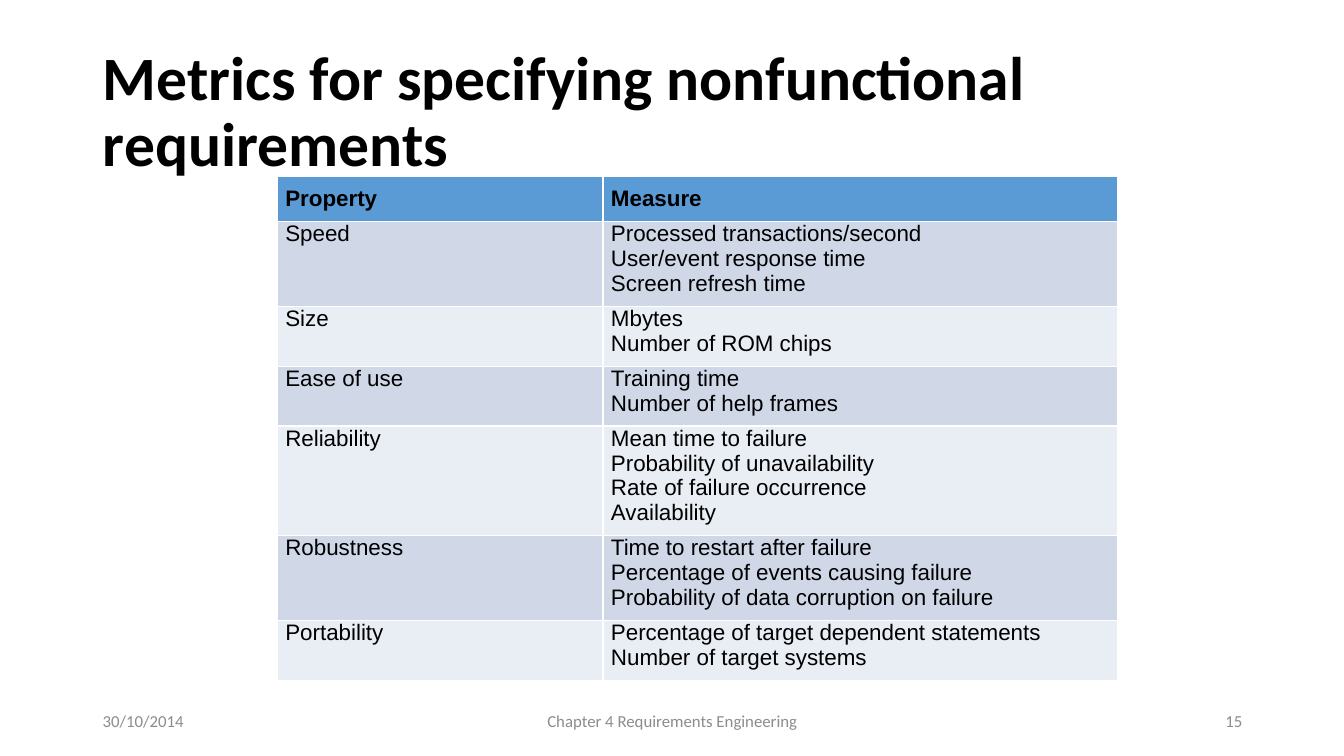
"""Build a slide with a table of metrics for nonfunctional requirements."""
from pptx import Presentation
from pptx import util as u
from pptx.dml.color import RGBColor
from pptx.enum import text

BLACK = RGBColor(0x00, 0x00, 0x00)
GREY = RGBColor(0x8C, 0x8C, 0x8C)
HEADER = RGBColor(0x5B, 0x9B, 0xD5)
BANDS = (RGBColor(0xE9, 0xED, 0xF4), RGBColor(0xD0, 0xD8, 0xE8))
ALIGN = text.PP_ALIGN
ANCHOR = text.MSO_ANCHOR

METRICS = [
    ("Property", ["Measure"]),
    ("Speed", ["Processed transactions/second", "User/event response time",
               "Screen refresh time"]),
    ("Size", ["Mbytes", "Number of ROM chips"]),
    ("Ease of use", ["Training time", "Number of help frames"]),
    ("Reliability", ["Mean time to failure", "Probability of unavailability",
                     "Rate of failure occurrence", "Availability"]),
    ("Robustness", ["Time to restart after failure",
                    "Percentage of events causing failure",
                    "Probability of data corruption on failure"]),
    ("Portability", ["Percentage of target dependent statements",
                     "Number of target systems"]),
]
COLUMN_WIDTHS = (3.23, 5.1)
ROW_HEIGHTS = (0.43, 0.75, 0.53, 0.53, 0.96, 0.75, 0.53)


class SlideBuilder:
    heading_font = "Calibri"
    table_font = "Arial"

    def __init__(self, prs):
        self.s = prs.slides.add_slide(prs.slide_layouts[5])

    def add_lines(self, tf, lines, font, size, color, bold=False, align=ALIGN.LEFT):
        for i, line in enumerate(lines):
            p = tf.add_paragraph() if i else tf.paragraphs[0]
            p.alignment = align
            r = p.add_run()
            r.text = line
            r.font.name = font
            r.font.size = u.Pt(size)
            r.font.bold = bold
            r.font.color.rgb = color
        return tf

    def title(self, words, left, top, width, height):
        sp = self.s.shapes.title
        sp.left, sp.top = u.Inches(left), u.Inches(top)
        sp.width, sp.height = u.Inches(width), u.Inches(height)
        tf = self.add_lines(sp.text_frame, [words], self.heading_font, 44, BLACK, True)
        tf.auto_size = text.MSO_AUTO_SIZE.NONE
        tf.vertical_anchor = ANCHOR.MIDDLE
        tf.paragraphs[0].line_spacing = 0.9

    def footer(self, words, left, width, align):
        sp = self.s.shapes.add_textbox(u.Inches(left), u.Inches(6.95),
                                       u.Inches(width), u.Inches(0.4))
        tf = self.add_lines(sp.text_frame, [words], self.heading_font, 12, GREY,
                            align=align)
        tf.word_wrap = True
        tf.vertical_anchor = ANCHOR.MIDDLE

    def table(self, rows, left, top, widths, heights):
        table = self.s.shapes.add_table(
            len(rows), len(widths), u.Inches(left), u.Inches(top),
            u.Inches(sum(widths)), u.Inches(sum(heights))).table
        for column, width in zip(table.columns, widths):
            column.width = u.Inches(width)
        for i, (name, measures) in enumerate(rows):
            table.rows[i].height = u.Inches(heights[i])
            for j, lines in enumerate(([name], measures)):
                self.cell(table.cell(i, j), lines, i)

    def cell(self, cell, lines, row):
        is_header = row == 0
        cell.margin_left = cell.margin_right = u.Inches(0.08)
        cell.margin_top = u.Inches(0.1 if is_header else 0)
        cell.margin_bottom = u.Inches(0.1)
        cell.fill.solid()
        cell.fill.fore_color.rgb = HEADER if is_header else BANDS[row % 2]
        self.add_lines(cell.text_frame, lines, self.table_font, 16, BLACK,
                       is_header, ALIGN.JUSTIFY)


def main():
    prs = Presentation()
    prs.slide_width, prs.slide_height = u.Inches(13.33), u.Inches(7.5)
    slide = SlideBuilder(prs)
    slide.title("Metrics for specifying nonfunctional requirements",
                0.92, 0.4, 11.5, 1.45)
    slide.table(METRICS, 2.75, 1.75, COLUMN_WIDTHS, ROW_HEIGHTS)
    slide.footer("30/10/2014", 0.92, 3, ALIGN.LEFT)
    slide.footer("Chapter 4 Requirements Engineering", 4.42, 4.5, ALIGN.CENTER)
    slide.footer("15", 9.42, 3, ALIGN.RIGHT)
    prs.save("out.pptx")


if __name__ == "__main__":
    main()
